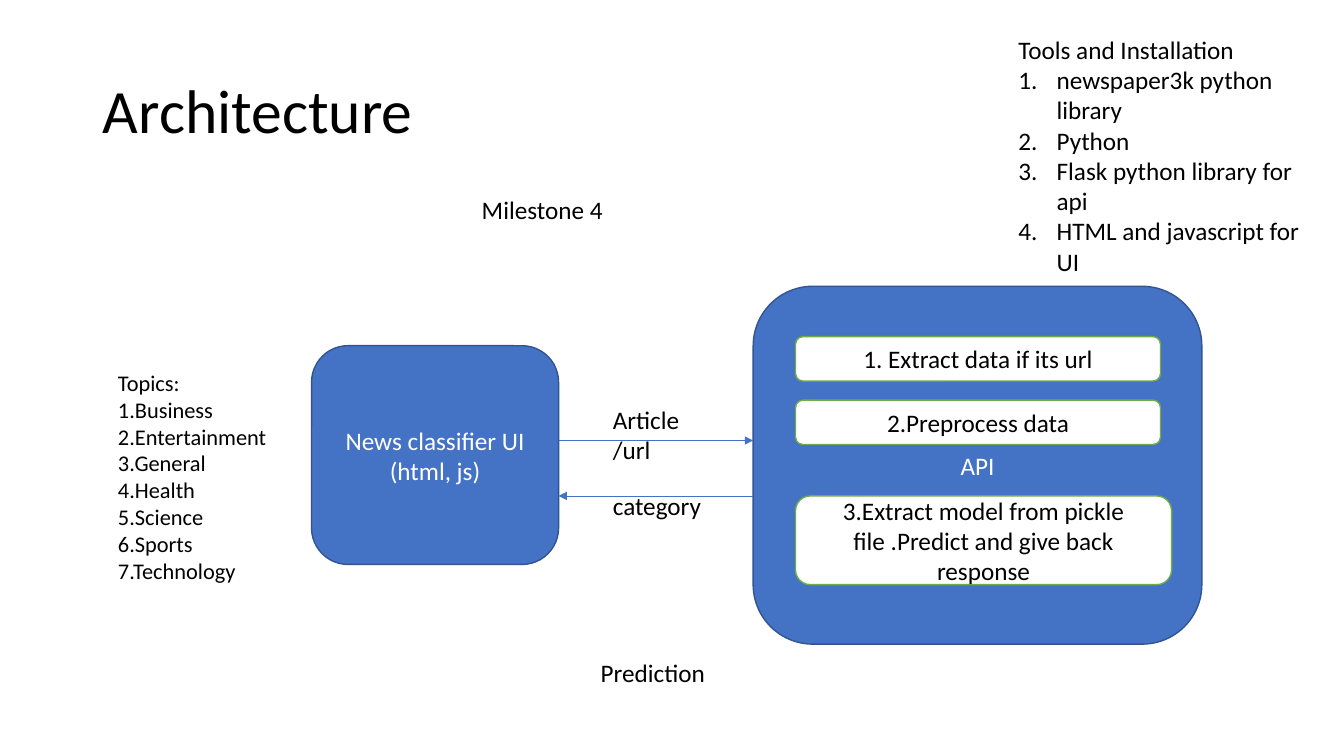
from dataclasses import dataclass

from lxml import etree
from pptx import Presentation
from pptx.dml.color import RGBColor
from pptx.enum.shapes import MSO_CONNECTOR, MSO_SHAPE
from pptx.enum.text import MSO_ANCHOR, MSO_AUTO_SIZE, PP_ALIGN
from pptx.oxml.ns import qn
from pptx.util import Inches, Pt

ROUNDED = MSO_SHAPE.ROUNDED_RECTANGLE
STRAIGHT = MSO_CONNECTOR.STRAIGHT
TOP, MIDDLE = MSO_ANCHOR.TOP, MSO_ANCHOR.MIDDLE
LEFT, CENTER = PP_ALIGN.LEFT, PP_ALIGN.CENTER
NO_AUTOFIT = MSO_AUTO_SIZE.NONE
TWO_CONTENT_LAYOUT = 3


@dataclass(frozen=True)
class Theme:
    font: str = "Calibri"
    title_size: int = 44
    text_size: int = 18
    topic_size: int = 16
    black: RGBColor = RGBColor(0x00, 0x00, 0x00)
    white: RGBColor = RGBColor(0xFF, 0xFF, 0xFF)
    blue: RGBColor = RGBColor(0x44, 0x72, 0xC4)
    dark_blue: RGBColor = RGBColor(0x32, 0x54, 0x91)
    green: RGBColor = RGBColor(0x70, 0xAD, 0x47)


THEME = Theme()


def write_text(shape, text, size=THEME.text_size, color=THEME.black,
               align=LEFT, anchor=TOP, line_spacing=1.0):
    frame = shape.text_frame
    frame.text = text
    frame.word_wrap = True
    frame.auto_size = NO_AUTOFIT
    frame.vertical_anchor = anchor
    for paragraph in frame.paragraphs:
        paragraph.alignment = align
        paragraph.line_spacing = line_spacing
        paragraph.space_before = Pt(0)
        for run in paragraph.runs:
            run.font.name = THEME.font
            run.font.size = Pt(size)
            run.font.color.rgb = color


def set_bullet(paragraph, numbered, indent=0.0):
    properties = paragraph._p.get_or_add_pPr()
    properties.set("marL", str(Inches(indent)))
    properties.set("indent", str(Inches(-indent)))
    if numbered:
        etree.SubElement(properties, qn("a:buFont"), typeface="+mj-lt")
        etree.SubElement(properties, qn("a:buAutoNum"), type="arabicPeriod")
    else:
        etree.SubElement(properties, qn("a:buNone"))


def place(shape, left, top, width, height):
    shape.left, shape.top = Inches(left), Inches(top)
    shape.width, shape.height = Inches(width), Inches(height)


def add_title(placeholder, box):
    place(placeholder, *box)
    write_text(placeholder, "Architecture", THEME.title_size,
               anchor=MIDDLE, line_spacing=0.9)


def add_list(placeholder, box, heading, items, size, numbered):
    place(placeholder, *box)
    write_text(placeholder, "\n".join([heading, *items]), size)
    first, *rest = placeholder.text_frame.paragraphs
    set_bullet(first, False)
    for paragraph in rest:
        set_bullet(paragraph, numbered, 0.38 if numbered else 0)


def add_label(slide, text, left, top, width, height=0.4):
    label = slide.shapes.add_textbox(*map(Inches, (left, top, width, height)))
    write_text(label, text)


def add_box(slide, text, box, fill, line, color):
    shape = slide.shapes.add_shape(ROUNDED, *map(Inches, box))
    shape.shadow.inherit = False
    shape.fill.solid()
    shape.fill.fore_color.rgb = fill
    shape.line.color.rgb = line
    shape.line.width = Pt(1)
    write_text(shape, text, color=color, align=CENTER, anchor=MIDDLE)


def add_arrow(slide, start, end, y):
    arrow = slide.shapes.add_connector(
        STRAIGHT, Inches(start), Inches(y), Inches(end), Inches(y))
    arrow.line.color.rgb = THEME.blue
    arrow.line.width = Pt(0.5)
    etree.SubElement(arrow.line._get_or_add_ln(), qn("a:tailEnd"), type="triangle")
    etree.SubElement(arrow._element.spPr, qn("a:effectLst"))


def add_api(slide, box):
    left, top, _, _ = box
    add_box(slide, "API", box, THEME.blue, THEME.dark_blue, THEME.white)
    # Steps: text, offset from the top, width, height
    steps = [
        ("1. Extract data if its url", 0.5, 3.62, 0.44),
        ("2.Preprocess data", 1.13, 3.62, 0.44),
        ("3.Extract model from pickle file .Predict and give back response",
         2.08, 3.73, 0.88),
    ]
    for text, offset, width, height in steps:
        add_box(slide, text, (left + 0.42, top + offset, width, height),
                THEME.white, THEME.green, THEME.black)


def add_exchange(slide, left, top, right):
    # Request to the API and answer back to the UI
    add_arrow(slide, left, right, top)
    add_arrow(slide, right, left, top + 0.55)
    add_label(slide, "Article/url", left + 0.44, top - 0.41, 0.94, 0.71)
    add_label(slide, "category", left + 0.44, top + 0.45, 1.16)


def add_prediction_flow(slide, ui_box, api_box):
    add_box(slide, "News classifier UI\n(html, js)", ui_box,
            THEME.blue, THEME.dark_blue, THEME.white)
    add_api(slide, api_box)
    add_exchange(slide, ui_box[0] + ui_box[2], 4.37, api_box[0])
    add_label(slide, "Prediction", 5.86, 6.47, 4.57)


def build_architecture_slide(presentation):
    layout = presentation.slide_layouts[TWO_CONTENT_LAYOUT]
    slide = presentation.slides.add_slide(layout)
    title, tools, topics = list(slide.placeholders)[:3]

    # Title and lists
    add_title(title, (0.92, 0.4, 11.5, 1.45))
    add_list(tools, (10, 0.29, 3.06, 2.83), "Tools and Installation",
             ["newspaper3k python library", "Python",
              "Flask python library for api", "HTML and javascript for UI"],
             THEME.text_size, numbered=True)
    names = ["Business", "Entertainment", "General", "Health",
             "Science", "Sports", "Technology"]
    add_list(topics, (1.07, 3.61, 2.63, 2.52), "Topics:",
             [f"{number}.{name}" for number, name in enumerate(names, 1)],
             THEME.topic_size, numbered=False)

    # Diagram
    add_label(slide, "Milestone 4", 4.68, 1.88, 2.16)
    add_prediction_flow(slide, (3.09, 3.43, 2.45, 2.17), (7.47, 2.84, 4.45, 3.55))


def main():
    presentation = Presentation()
    presentation.slide_width = Inches(13.33)
    presentation.slide_height = Inches(7.5)
    build_architecture_slide(presentation)
    presentation.save("out.pptx")


if __name__ == "__main__":
    main()
